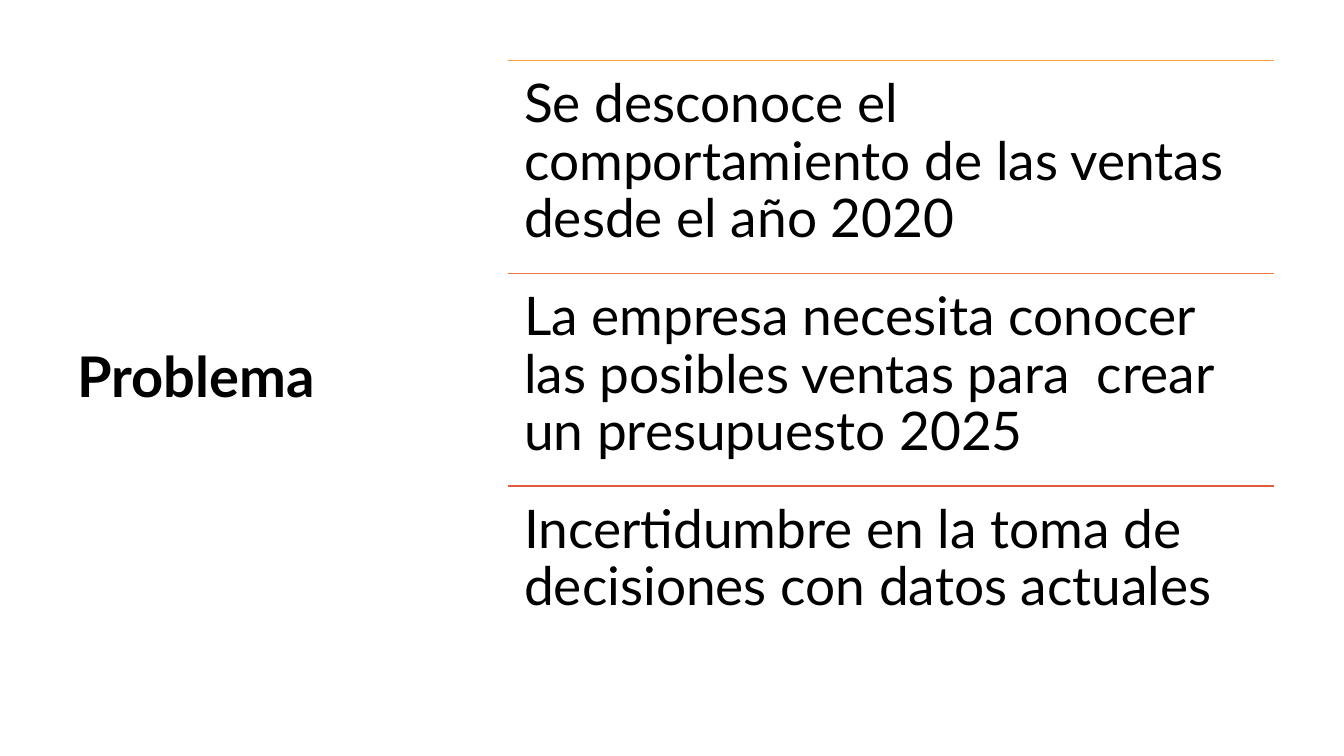
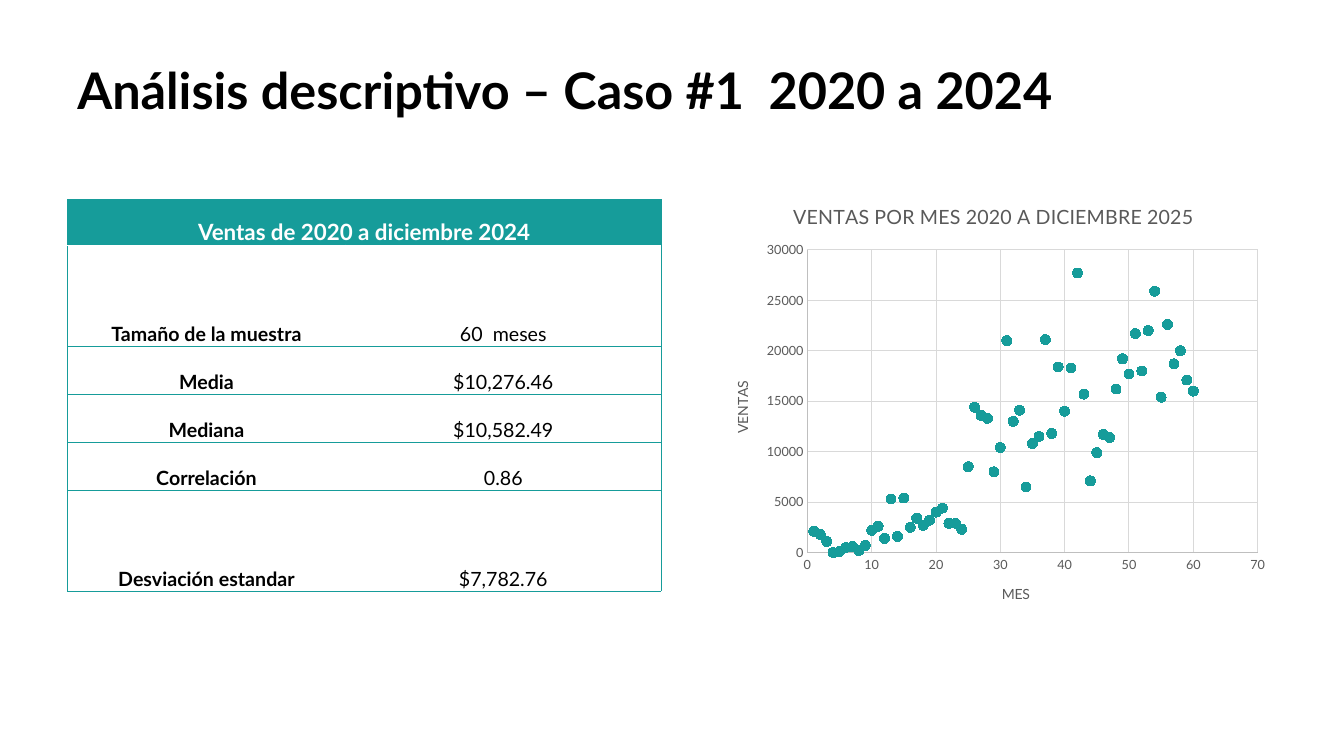
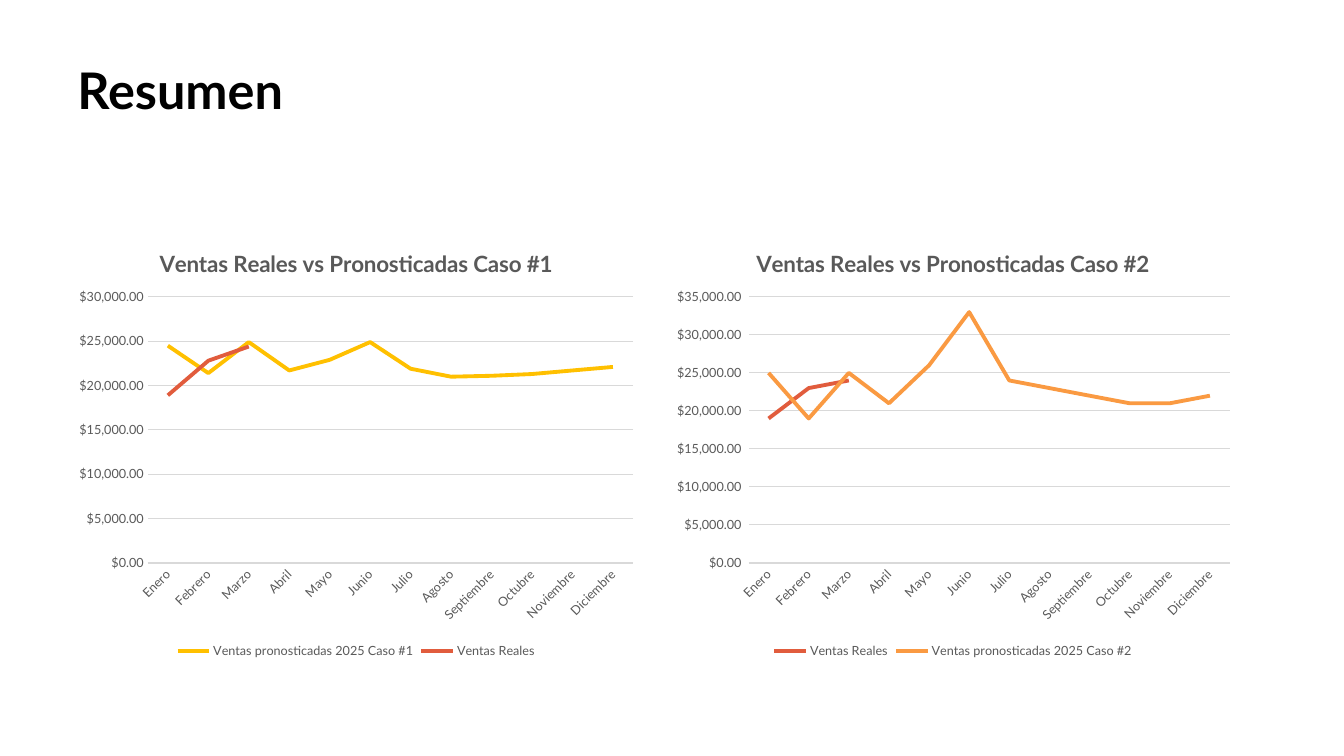
from lxml import etree
from pptx import Presentation
from pptx.chart.data import CategoryChartData, XyChartData
from pptx.dml.color import RGBColor
from pptx.enum.chart import XL_CHART_TYPE, XL_LEGEND_POSITION, XL_MARKER_STYLE, XL_TICK_MARK
from pptx.enum.shapes import MSO_CONNECTOR
from pptx.enum.text import MSO_ANCHOR, PP_ALIGN
from pptx.oxml.ns import qn
from pptx.util import Cm, Pt

TOP, MIDDLE, BOTTOM = MSO_ANCHOR.TOP, MSO_ANCHOR.MIDDLE, MSO_ANCHOR.BOTTOM
CENTER = PP_ALIGN.CENTER
STRAIGHT = MSO_CONNECTOR.STRAIGHT
SCATTER, LINE = XL_CHART_TYPE.XY_SCATTER, XL_CHART_TYPE.LINE
LEGEND_BOTTOM = XL_LEGEND_POSITION.BOTTOM
CIRCLE = XL_MARKER_STYLE.CIRCLE
NO_TICK = XL_TICK_MARK.NONE

FONT = "Lato"
BLACK, WHITE, GRAY = "000000", "FFFFFF", "595959"
GRID, AXIS = "D9D9D9", "BFBFBF"
TEAL, ORANGE, RUST, RED, YELLOW = "169C9A", "FA9A42", "EE793F", "E15C3D", "FFC000"

LEFT, TITLE_TOP = 1.7, 1.53
TITLE_BOX = (LEFT, TITLE_TOP, 29.6, 3.15)

PROBLEMS = [
    ("Se desconoce el comportamiento de las ventas desde el año 2020", ORANGE),
    ("La empresa necesita conocer las posibles ventas para  crear un presupuesto 2025", RUST),
    ("Incertidumbre en la toma de decisiones con datos actuales", RED),
]
STATISTICS = [
    ("Tamaño de la muestra", "60  meses"),
    ("Media", "$10,276.46"),
    ("Mediana", "$10,582.49"),
    ("Correlación", "0.86"),
    ("Desviación estandar", "$7,782.76"),
]
MONTHLY_SALES = [
    2100, 1800, 1100, 0, 100, 500, 600, 200, 700, 2200, 2600, 1400,
    5300, 1600, 5400, 2500, 3400, 2700, 3200, 4000, 4400, 2900, 2900, 2300,
    8500, 14400, 13600, 13300, 8000, 10400, 21000, 13000, 14100, 6500, 10800, 11500,
    21100, 11800, 18400, 14000, 18300, 27700, 15700, 7100, 9900, 11700, 11400, 16200,
    19200, 17700, 21700, 18000, 22000, 25900, 15400, 22600, 18700, 20000, 17100, 16000,
]
MONTHS = ["Enero", "Febrero", "Marzo", "Abril", "Mayo", "Junio", "Julio", "Agosto",
          "Septiembre", "Octubre", "Noviembre", "Diciembre"]
NOT_YET_SOLD = [None] * 9
ACTUAL_1 = ("Ventas Reales", [18900, 22800, 24400] + NOT_YET_SOLD, RED)
ACTUAL_2 = ("Ventas Reales", [19000, 23000, 24000] + NOT_YET_SOLD, RED)
FORECAST_1 = ("Ventas pronosticadas 2025 Caso #1",
              [24500, 21400, 24900, 21700, 22900, 24900,
               21900, 21000, 21100, 21300, 21700, 22100], YELLOW)
FORECAST_2 = ("Ventas pronosticadas 2025 Caso #2",
              [25000, 19000, 25000, 21000, 26000, 33000,
               24000, 23000, 22000, 21000, 21000, 22000], ORANGE)


def color(hex_text):
    return RGBColor.from_string(hex_text)


def set_font(font, size, hex_text, bold=False):
    font.name, font.size, font.bold = FONT, Pt(size), bold
    font.color.rgb = color(hex_text)


def set_line(line, hex_text, width):
    line.color.rgb = color(hex_text)
    line.width = Pt(width)


def add_span(para, text, size, hex_text, bold=False):
    span = para.add_run()
    span.text = text
    set_font(span.font, size, hex_text, bold)


def add_text(page, area, text, size, bold=False, anchor=TOP, inset=None):
    box = page.shapes.add_textbox(*map(Cm, area))
    frame = box.text_frame
    frame.word_wrap = True
    frame.vertical_anchor = anchor
    if inset is not None:
        frame.margin_left = frame.margin_right = Cm(inset)
        frame.margin_top = frame.margin_bottom = Cm(inset)
    para = frame.paragraphs[0]
    para.line_spacing = 0.9
    add_span(para, text, size, BLACK, bold)


def add_title(page, text, area=TITLE_BOX, size=36, anchor=TOP):
    add_text(page, area, text, size, True, anchor)


def add_rule(page, left, top, width, hex_text):
    rule = page.shapes.add_connector(STRAIGHT, Cm(left), Cm(top), Cm(left + width), Cm(top))
    set_line(rule.line, hex_text, 1)
    etree.SubElement(rule._element.spPr, qn("a:effectLst"))


def add_ruled_list(page, area, items):
    """Stack equal rows, each with a coloured rule on top."""
    left, top, width, height = area
    row_height = height / len(items)
    for index, (text, hex_text) in enumerate(items):
        row_top = top + index * row_height
        add_rule(page, left, row_top, width, hex_text)
        add_text(page, (left, row_top, width, row_height), text, 38, inset=0.41)


def set_borders(cell, sides):
    """Draw thin teal borders on the given sides, in the order L, R, T, B."""
    properties = cell._tc.get_or_add_tcPr()
    for position, side in enumerate(sides):
        border = etree.Element(qn("a:ln" + side), w=str(Pt(0.5)))
        fill = etree.SubElement(border, qn("a:solidFill"))
        etree.SubElement(fill, qn("a:srgbClr"), val=TEAL)
        properties.insert(position, border)


def fill_cell(cell, text, size, hex_text, bold, spacing):
    cell.margin_left = cell.margin_right = Cm(0.18)
    cell.margin_top = cell.margin_bottom = 0
    cell.vertical_anchor = BOTTOM
    para = cell.text_frame.paragraphs[0]
    para.alignment = CENTER
    para.line_spacing = spacing
    para.space_after = Pt(8)
    add_span(para, text, size, hex_text, bold)


def add_statistics_table(page, left, top, heading, rows):
    widths = [7.01, 7.95]
    heights = [1.15, 2.54, 1.21, 1.21, 1.21, 2.54]
    shape = page.shapes.add_table(len(heights), len(widths), Cm(left), Cm(top),
                                  Cm(sum(widths)), Cm(sum(heights)))
    table = shape.table
    table.first_row = table.horz_banding = False
    for column, width in zip(table.columns, widths):
        column.width = Cm(width)
    for row, height in zip(table.rows, heights):
        row.height = Cm(height)

    header = table.cell(0, 0)
    header.merge(table.cell(0, 1))
    fill_cell(header, heading, 16, WHITE, True, 1.15)
    header.fill.solid()
    header.fill.fore_color.rgb = color(TEAL)
    set_borders(header, "LRT")

    for row_index, texts in enumerate(rows, 1):
        for column_index, text in enumerate(texts):
            cell = table.cell(row_index, column_index)
            fill_cell(cell, text, 14, BLACK, column_index == 0, 1.5)
            cell.fill.background()
            set_borders(cell, "LR"[column_index] + "TB")


def place_plot(chart, left, top, width, height):
    """Fix the inner plot area, given in percent of the chart box."""
    plot_area = chart._chartSpace.chart.plotArea
    for old_layout in plot_area.findall(qn("c:layout")):
        plot_area.remove(old_layout)
    layout = etree.Element(qn("c:layout"))
    manual = etree.SubElement(layout, qn("c:manualLayout"))
    settings = [("layoutTarget", "inner"), ("xMode", "edge"), ("yMode", "edge"),
                ("x", left / 100), ("y", top / 100), ("w", width / 100), ("h", height / 100)]
    for name, value in settings:
        etree.SubElement(manual, qn("c:" + name), val=str(value))
    plot_area.insert(0, layout)


def style_axis(axis, number_format=None, grid=True, title=None):
    axis.major_tick_mark = axis.minor_tick_mark = NO_TICK
    set_font(axis.tick_labels.font, 9, GRAY)
    if number_format:
        axis.tick_labels.number_format = number_format
        axis.tick_labels.number_format_is_linked = False
    axis.has_major_gridlines = grid
    if grid:
        set_line(axis.major_gridlines.format.line, GRID, 0.75)
    if title:
        add_span(axis.axis_title.text_frame.paragraphs[0], title, 10, GRAY)


def add_styled_chart(page, kind, area, data, title, title_size, title_bold):
    chart = page.shapes.add_chart(kind, *map(Cm, area), data).chart
    set_font(chart.font, 10, BLACK)
    chart.has_title = True
    chart.chart_title.include_in_layout = False
    add_span(chart.chart_title.text_frame.paragraphs[0], title, title_size, GRAY, title_bold)
    chart.plots[0].vary_by_categories = False
    return chart


def add_sales_scatter(page, area):
    data = XyChartData()
    points = data.add_series("Series 1")
    for month, sales in enumerate(MONTHLY_SALES, 1):
        points.add_data_point(month, sales)
    chart = add_styled_chart(page, SCATTER, area, data,
                             "VENTAS POR MES 2020 A DICIEMBRE 2025", 14, False)
    chart.has_legend = False
    place_plot(chart, 17, 14.8, 79.8, 68.9)
    axes = [(chart.category_axis, "MES", 70, 10), (chart.value_axis, "VENTAS", 30000, 5000)]
    for axis, title, maximum, step in axes:
        style_axis(axis, "General", title=title)
        set_line(axis.format.line, AXIS, 0.75)
        axis.minimum_scale, axis.maximum_scale, axis.major_unit = 0, maximum, step
    series = chart.plots[0].series[0]
    series.format.line.fill.background()
    series.marker.style, series.marker.size = CIRCLE, 7
    series.marker.format.fill.solid()
    series.marker.format.fill.fore_color.rgb = color(TEAL)
    set_line(series.marker.format.line, TEAL, 0.75)


def add_forecast_chart(page, area, title, lines, maximum, number_format, plot_left):
    data = CategoryChartData()
    data.categories = MONTHS
    for name, values, _ in lines:
        data.add_series(name, values)
    chart = add_styled_chart(page, LINE, area, data, title, 16, True)
    place_plot(chart, plot_left, 15.5, 98 - plot_left, 61.4)
    chart.has_legend = True
    chart.legend.position = LEGEND_BOTTOM
    chart.legend.include_in_layout = False
    set_font(chart.legend.font, 9, GRAY)
    months, sales = chart.category_axis, chart.value_axis
    style_axis(months, grid=False)
    set_line(months.format.line, GRID, 1)
    months._element.txPr.find(qn("a:bodyPr")).set("rot", "-2700000")
    style_axis(sales, number_format)
    sales.format.line.fill.background()
    sales.minimum_scale, sales.maximum_scale, sales.major_unit = 0, maximum, 5000
    for series, (_, _, hex_text) in zip(chart.plots[0].series, lines):
        series.smooth = False
        set_line(series.format.line, hex_text, 2.75)


def build_problem(page):
    add_title(page, "Problema", (LEFT, TITLE_TOP, 9.7, 16.08), 40, MIDDLE)
    add_ruled_list(page, (12.8, TITLE_TOP, 19.3, 16.08), PROBLEMS)


def build_analysis(page):
    add_title(page, "Análisis descriptivo – Caso #1  2020 a 2024")
    add_statistics_table(page, LEFT, 5.03, "Ventas de 2020 a diciembre 2024", STATISTICS)
    add_sales_scatter(page, (17.93, 4.66, 14.22, 11.07))


def build_summary(page):
    add_title(page, "Resumen")
    dollars = '"$"#,##0.00'
    cases = [
        ([FORECAST_1, ACTUAL_1], 30000, dollars, 13.9),
        ([ACTUAL_2, FORECAST_2], 35000, dollars + r"_);[Red]\(" + dollars + r"\)", 14.6),
    ]
    width, gap = 14.55, 0.49
    for index, (lines, maximum, number_format, plot_left) in enumerate(cases):
        area = (LEFT + index * (width + gap), 5.79, width, 10.92)
        title = f"Ventas Reales vs Pronosticadas Caso #{index + 1}"
        add_forecast_chart(page, area, title, lines, maximum, number_format, plot_left)


def main():
    deck = Presentation()
    deck.slide_width, deck.slide_height = Cm(33.87), Cm(19.05)
    blank = deck.slide_layouts[6]
    for build in (build_problem, build_analysis, build_summary):
        build(deck.slides.add_slide(blank))
    deck.save("out.pptx")


if __name__ == "__main__":
    main()
